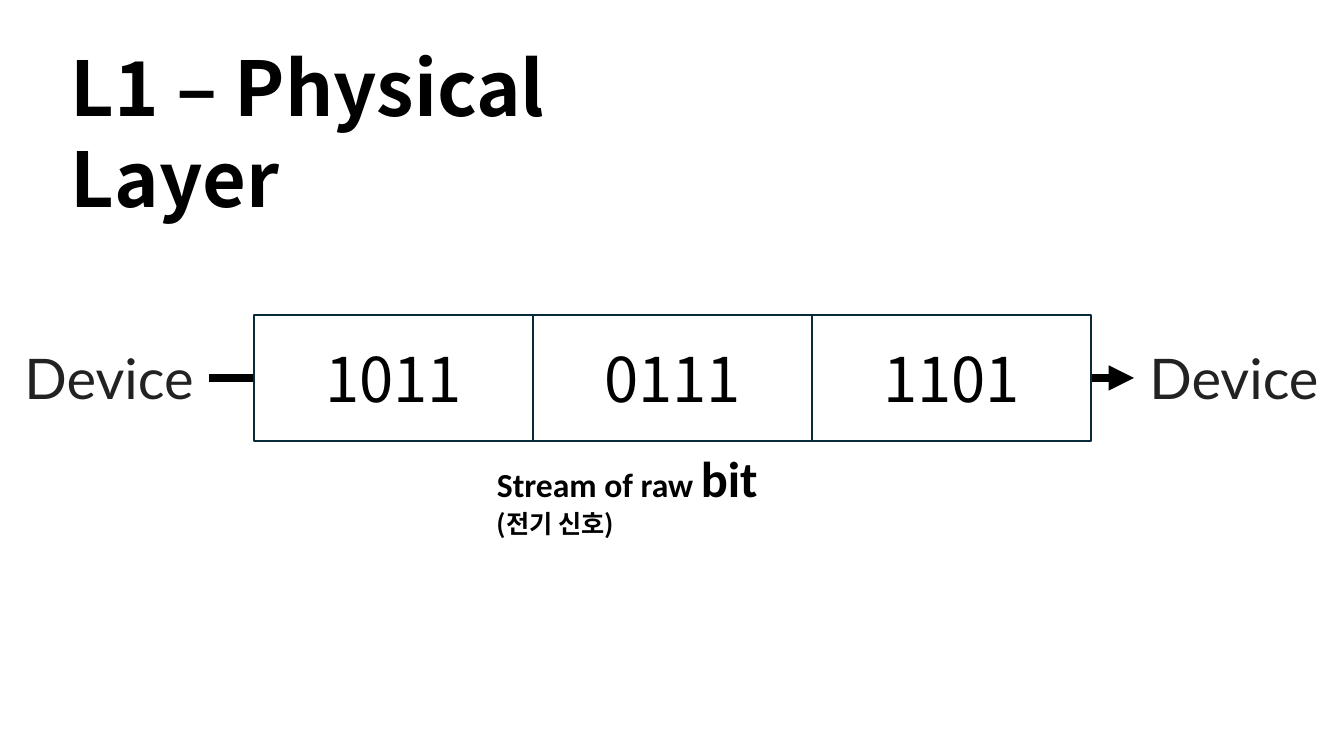
from lxml.etree import SubElement
from pptx import Presentation
from pptx.dml.color import RGBColor
from pptx.enum.shapes import MSO_CONNECTOR, MSO_SHAPE
from pptx.enum.text import MSO_ANCHOR, PP_ALIGN
from pptx.oxml.ns import qn
from pptx.util import Pt

BLACK = RGBColor(0x00, 0x00, 0x00)
WHITE = RGBColor(0xFF, 0xFF, 0xFF)
NAVY = RGBColor(0x09, 0x2A, 0x39)
CHARCOAL = RGBColor(0x22, 0x22, 0x22)

NOTO = "Noto Sans CJK KR"
SLIDE_WIDTH, SLIDE_HEIGHT = 1344, 756
BITS = ("1011", "0111", "1101")
BITS_LEFT, BITS_TOP, BITS_WIDTH, BITS_HEIGHT = 254, 315, 279, 126


def px(length):
    return round(length * 914400 / 100.8)


def format_run(run, font_name, size, color=BLACK, bold=False):
    """Set the run's look, using the same typeface for Latin and Korean."""
    run.font.name = font_name
    run.font.size = Pt(size)
    run.font.bold = bold
    run.font.color.rgb = color
    SubElement(run.font._element, qn("a:ea")).set("typeface", font_name)


def add_text_box(slide, left, top, width, height):
    box = slide.shapes.add_textbox(px(left), px(top), px(width), px(height))
    box.text_frame.word_wrap = True
    return box


def add_title(slide, title):
    paragraph = add_text_box(slide, 61, 36, 700, 102).text_frame.paragraphs[0]
    paragraph.text = title
    paragraph.line_spacing = Pt(65)
    format_run(paragraph.runs[0], NOTO, 54, bold=True)


def add_device(slide, left):
    device = add_text_box(slide, left, 339, 200, 78)
    device.text_frame.text = "Device"
    paragraph = device.text_frame.paragraphs[0]
    paragraph.alignment = PP_ALIGN.CENTER
    format_run(paragraph.runs[0], "Lato", 40, CHARCOAL)
    return device


def add_wire(slide):
    wire = slide.shapes.add_connector(MSO_CONNECTOR.STRAIGHT, 0, 0, 0, 0)
    wire.line.color.rgb = BLACK
    wire.line.width = Pt(6)
    SubElement(wire.line._get_or_add_ln(), qn("a:tailEnd")).set("type", "triangle")
    SubElement(wire._element.spPr, qn("a:effectLst"))
    return wire


def add_bit_stream(slide):
    stream = slide.shapes.add_group_shape()
    for index, bits in enumerate(BITS):
        cell = stream.shapes.add_shape(
            MSO_SHAPE.RECTANGLE,
            px(BITS_LEFT + index * BITS_WIDTH), px(BITS_TOP),
            px(BITS_WIDTH), px(BITS_HEIGHT))
        cell.shadow.inherit = False
        cell.fill.solid()
        cell.fill.fore_color.rgb = WHITE
        cell.line.color.rgb = NAVY
        cell.line.width = Pt(1.5)
        cell.text_frame.text = bits
        cell.text_frame.vertical_anchor = MSO_ANCHOR.MIDDLE
        paragraph = cell.text_frame.paragraphs[0]
        paragraph.alignment = PP_ALIGN.CENTER
        format_run(paragraph.runs[0], NOTO, 44)


def add_caption(slide):
    frame = add_text_box(slide, 487, 442, 369, 105).text_frame
    frame.text = "Stream of raw \n(전기 신호)"
    english, korean = frame.paragraphs
    english.add_run().text = "bit"
    for run, size in zip(english.runs, (24, 36)):
        format_run(run, "Calibri", size, bold=True)
    korean.line_spacing = Pt(22)
    format_run(korean.runs[0], NOTO, 18, bold=True)


def main():
    presentation = Presentation()
    presentation.slide_width = px(SLIDE_WIDTH)
    presentation.slide_height = px(SLIDE_HEIGHT)
    slide = presentation.slides.add_slide(presentation.slide_layouts[6])

    wire = add_wire(slide)
    add_title(slide, "L1 – Physical Layer")
    add_bit_stream(slide)
    add_caption(slide)
    sender = add_device(slide, 9)
    receiver = add_device(slide, 1134)
    wire.begin_connect(sender, 3)
    wire.end_connect(receiver, 1)

    presentation.save("out.pptx")


if __name__ == "__main__":
    main()
